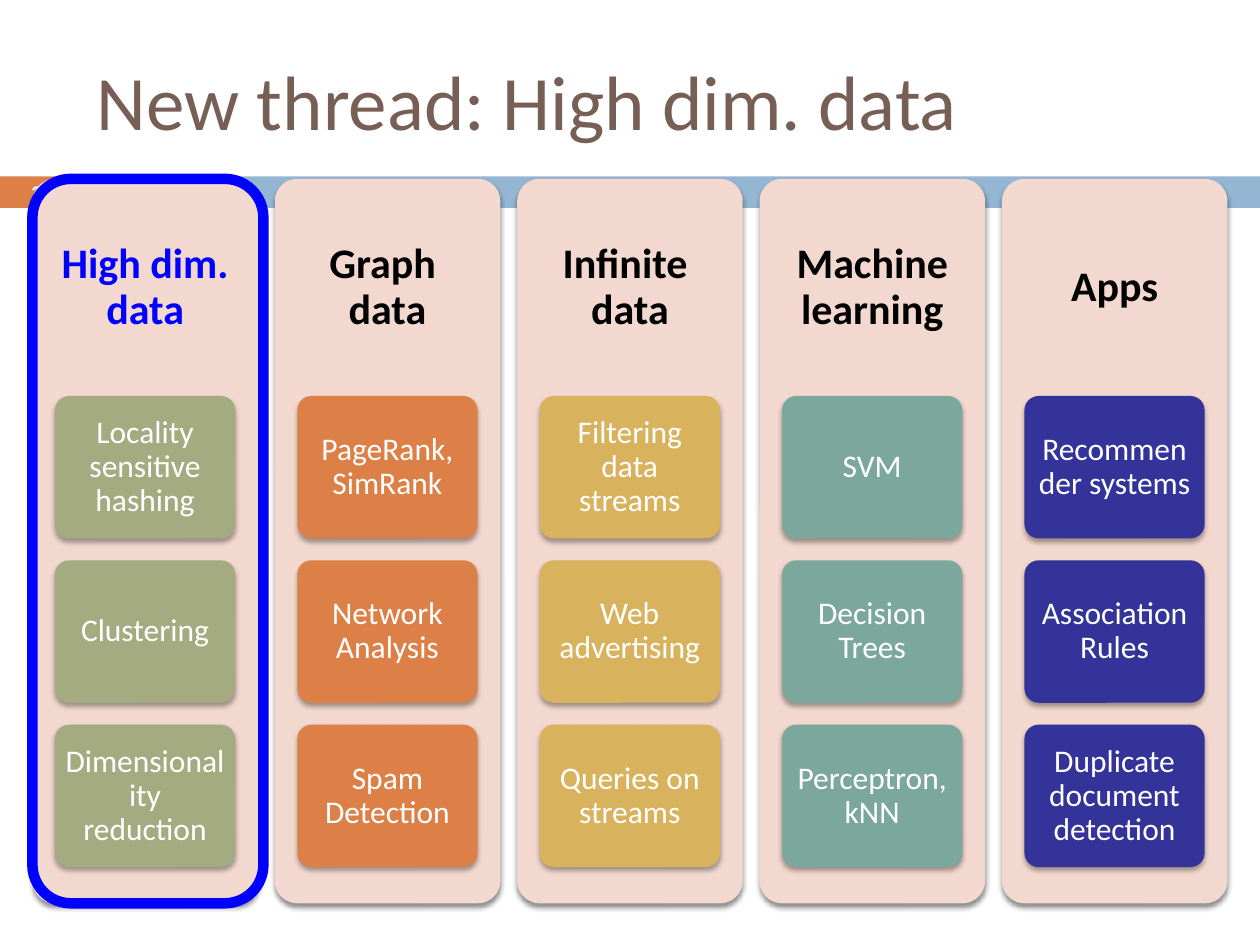
import pptx
import pptx.util
import pptx.dml.color
import pptx.enum.shapes
import pptx.enum.text
import pptx.oxml
import pptx.oxml.ns
from lxml import etree

Pt = pptx.util.Pt
SHAPES = pptx.enum.shapes.MSO_SHAPE
ALIGN = pptx.enum.text.PP_ALIGN
MIDDLE = pptx.enum.text.MSO_ANCHOR.MIDDLE
FONT = "Calibri"
COLORS = {
    "title": "775F55", "number band": "DD8047", "band": "94B6D2",
    "column": "F2D8CF", "highlight": "0000FF", "black": "000000",
    "white": "FFFFFF", "olive": "A5AB81", "orange": "DD8047",
    "gold": "D8B25C", "teal": "7BA79D", "indigo": "333399",
}
THREADS = [
    ("High dim. data", "highlight", "olive",
     ["Locality sensitive hashing", "Clustering", "Dimensionality reduction"]),
    ("Graph \ndata", "black", "orange",
     ["PageRank, SimRank", "Network Analysis", "Spam Detection"]),
    ("Infinite \ndata", "black", "gold",
     ["Filtering data streams", "Web advertising", "Queries on streams"]),
    ("Machine learning", "black", "teal",
     ["SVM", "Decision Trees", "Perceptron, kNN"]),
    ("Apps", "black", "indigo",
     ["Recommender systems", "Association Rules", "Duplicate document detection"]),
]
COLUMN_LEFT, COLUMN_TOP, COLUMN_PITCH = 18.5, 102.2, 138.5
COLUMN_WIDTH, COLUMN_HEIGHT = 128.9, 414
TOPIC_INDENT, TOPIC_TOP, TOPIC_PITCH = 12.9, 226.3, 93.9
TOPIC_WIDTH, TOPIC_HEIGHT = 103, 81.4


def rgb(color):
    return pptx.dml.color.RGBColor.from_string(COLORS[color])


def add_box(slide, kind, left, top, width, height, fill=None):
    box = slide.shapes.add_shape(kind, Pt(left), Pt(top), Pt(width), Pt(height))
    box.shadow.inherit = False
    box.line.fill.background()
    if fill:
        box.fill.solid()
        box.fill.fore_color.rgb = rgb(fill)
    else:
        box.fill.background()
    return box


def add_card(slide, left, top, width, height, fill, opacity, distance):
    """Add a rounded box with a soft shadow straight below it."""
    card = add_box(slide, SHAPES.ROUNDED_RECTANGLE, left, top, width, height, fill)
    card.adjustments[0] = 0.1
    qn = pptx.oxml.ns.qn
    effects = card._element.spPr.find(qn("a:effectLst"))
    shadow = etree.SubElement(
        effects, qn("a:outerShdw"), blurRad=str(Pt(3)), dist=str(Pt(distance)),
        dir="5400000", rotWithShape="0")
    tint = etree.SubElement(shadow, qn("a:srgbClr"), val=COLORS["black"])
    etree.SubElement(tint, qn("a:alpha"), val=str(opacity * 1000))
    return card


def write(shape, text, size, color, bold=False, align=ALIGN.CENTER,
          insets=(7.2, 3.6, 7.2, 3.6), spacing=1.0):
    """Fill a shape with one paragraph; insets run left, top, right, bottom."""
    frame = shape.text_frame
    frame.word_wrap = True
    frame.auto_size = pptx.enum.text.MSO_AUTO_SIZE.NONE
    frame.vertical_anchor = MIDDLE
    (frame.margin_left, frame.margin_top,
     frame.margin_right, frame.margin_bottom) = map(Pt, insets)
    paragraph = frame.paragraphs[0]
    paragraph.alignment = align
    paragraph.line_spacing = spacing
    for index, line in enumerate(text.split("\n")):
        if index:
            paragraph.add_line_break()
        run = paragraph.add_run()
        run.text = line
        run.font.name = FONT
        run.font.size = Pt(size)
        run.font.bold = bold
        run.font.color.rgb = rgb(color)


def add_title(slide, text):
    title = slide.shapes.title
    title.left, title.top, title.width, title.height = map(Pt, (48.2, 18, 642.2, 77.8))
    write(title, text, 44, "title", align=ALIGN.LEFT)


def add_bands(slide, number):
    number_band = add_box(slide, SHAPES.RECTANGLE, 0, 100.8, 42, 18, "number band")
    write(number_band, number, 12, "white", bold=True, insets=(0, 0, 0, 0))
    add_box(slide, SHAPES.RECTANGLE, 46.8, 100.8, 673.2, 18, "band")


def add_thread(slide, left, heading, heading_color, topic_color, topics):
    column = add_card(slide, left, COLUMN_TOP, COLUMN_WIDTH, COLUMN_HEIGHT,
                      "column", 45, 2.4)
    # The deep bottom inset keeps the heading above the topics.
    write(column, heading, 24, heading_color, bold=True,
          insets=(3.5, 3.5, 3.5, 293), spacing=0.9)
    for row, topic in enumerate(topics):
        card = add_card(slide, left + TOPIC_INDENT, TOPIC_TOP + row * TOPIC_PITCH,
                        TOPIC_WIDTH, TOPIC_HEIGHT, topic_color, 35, 2)
        write(card, topic, 18, "white", insets=(3.6, 2.7, 3.6, 2.7), spacing=0.9)


def add_highlight(slide):
    outline = add_box(slide, SHAPES.ROUNDED_RECTANGLE, COLUMN_LEFT, COLUMN_TOP,
                      132, COLUMN_HEIGHT)
    outline.line.color.rgb = rgb("highlight")
    outline.line.width = Pt(6)


def main():
    deck = pptx.Presentation()
    deck.slide_width, deck.slide_height = Pt(720), Pt(540)
    slide = deck.slides.add_slide(deck.slide_layouts.get_by_name("Title Only"))
    add_bands(slide, "2")
    add_title(slide, "New thread: High dim. data")
    for index, thread in enumerate(THREADS):
        add_thread(slide, COLUMN_LEFT + index * COLUMN_PITCH, *thread)
    add_highlight(slide)
    deck.save("out.pptx")


if __name__ == "__main__":
    main()
